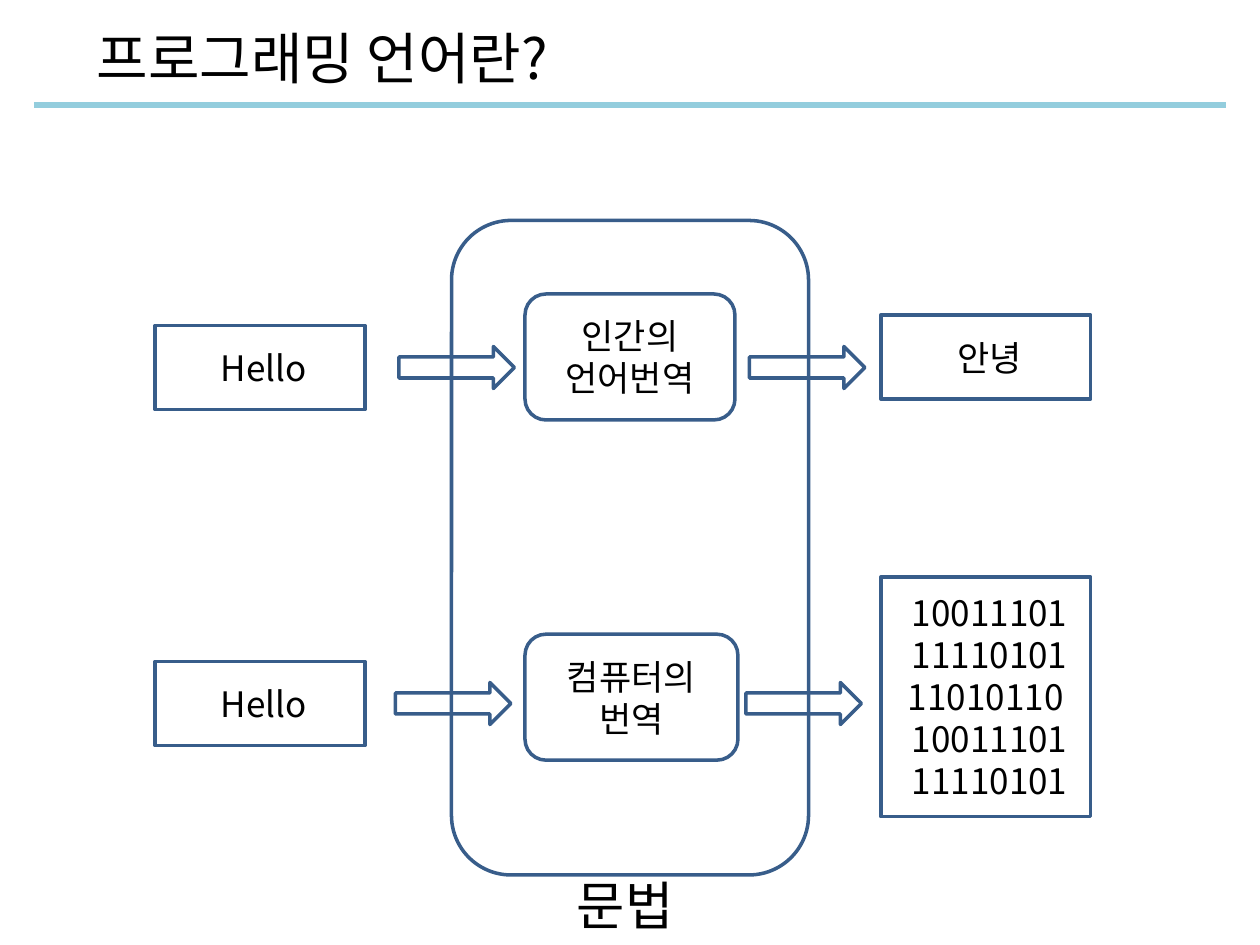
import pptx
import pptx.dml.color
import pptx.enum.shapes
import pptx.enum.text
import pptx.oxml.ns
import pptx.util
from lxml import etree

Pt = pptx.util.Pt
SHAPE = pptx.enum.shapes.MSO_SHAPE
ALIGN = pptx.enum.text.PP_ALIGN
ANCHOR = pptx.enum.text.MSO_ANCHOR
BLACK = pptx.dml.color.RGBColor(0x00, 0x00, 0x00)
OUTLINE = pptx.dml.color.RGBColor(0x38, 0x5D, 0x8A)
RULE = pptx.dml.color.RGBColor(0x93, 0xCD, 0xDD)
FONT = "Noto Sans CJK KR"


def write_text(frame, text, size, alignment, anchor):
    """Fill a text frame and format every run, including its Korean font."""
    frame.text = text
    frame.word_wrap = True
    frame.vertical_anchor = anchor
    for para in frame.paragraphs:
        para.alignment = alignment
        for span in para.runs:
            span.font.size = Pt(size)
            span.font.name = FONT
            span.font.color.rgb = BLACK
            east_asian = etree.SubElement(span.font._element, pptx.oxml.ns.qn("a:ea"))
            east_asian.set("typeface", FONT)


def add_outline(page, kind, left, top, width, height, text=""):
    """Add an unfilled outlined shape with optional centred text."""
    box = page.shapes.add_shape(kind, Pt(left), Pt(top), Pt(width), Pt(height))
    box.shadow.inherit = False
    box.fill.background()
    box.line.color.rgb = OUTLINE
    box.line.width = Pt(2)
    if text:
        write_text(box.text_frame, text, 20, ALIGN.CENTER, ANCHOR.MIDDLE)


def add_label(page, left, top, width, height, text, size, anchor):
    """Add a left-aligned text box."""
    box = page.shapes.add_textbox(Pt(left), Pt(top), Pt(width), Pt(height))
    write_text(box.text_frame, text, size, ALIGN.LEFT, anchor)


def add_rule(page, left, right, top):
    """Add the horizontal rule below the title."""
    rule = page.shapes.add_connector(
        pptx.enum.shapes.MSO_CONNECTOR.STRAIGHT, Pt(left), Pt(top), Pt(right), Pt(top))
    rule.line.color.rgb = RULE
    rule.line.width = Pt(3.5)
    etree.SubElement(rule._element.spPr, pptx.oxml.ns.qn("a:effectLst"))


def add_translation(page, source, translator, result, arrow_left, arrow_top):
    """Add one row: source box, arrow, translator box, arrow, result box."""
    add_outline(page, SHAPE.RECTANGLE, 88.5, arrow_top - 12, 120, 48, source)
    top, width, text = translator
    add_outline(page, SHAPE.ROUNDED_RECTANGLE, 300, top, width, 72, text)
    top, height, text = result
    add_outline(page, SHAPE.RECTANGLE, 503.3, top, 120, height, text)
    for left in (arrow_left, arrow_left + 200.3):
        add_outline(page, SHAPE.RIGHT_ARROW, left, arrow_top, 66, 24)


def main():
    """Build and save the slide."""
    deck = pptx.Presentation()
    deck.slide_width, deck.slide_height = Pt(720), Pt(540)
    page = deck.slides.add_slide(deck.slide_layouts[6])
    add_rule(page, 19.4, 700.6, 60.2)
    add_label(page, 48.2, 5.8, 642.2, 53.3, "프로그래밍 언어란?", 32, ANCHOR.MIDDLE)
    add_outline(page, SHAPE.ROUNDED_RECTANGLE, 258, 126, 204, 374)
    add_label(page, 322.6, 495.4, 80, 43.2, "문법", 30, ANCHOR.TOP)
    add_translation(page, " Hello", (168, 120, " 인간의 \n언어번역"),
                    (180, 48, " 안녕"), 228, 198)
    binary = " 10011101\n 11110101\n11010110\n 10011101\n 11110101"
    add_translation(page, " Hello", (362.4, 121.7, "컴퓨터의\n번역"),
                    (329.8, 136.8, binary), 226, 390)
    deck.save("out.pptx")


if __name__ == "__main__":
    main()
